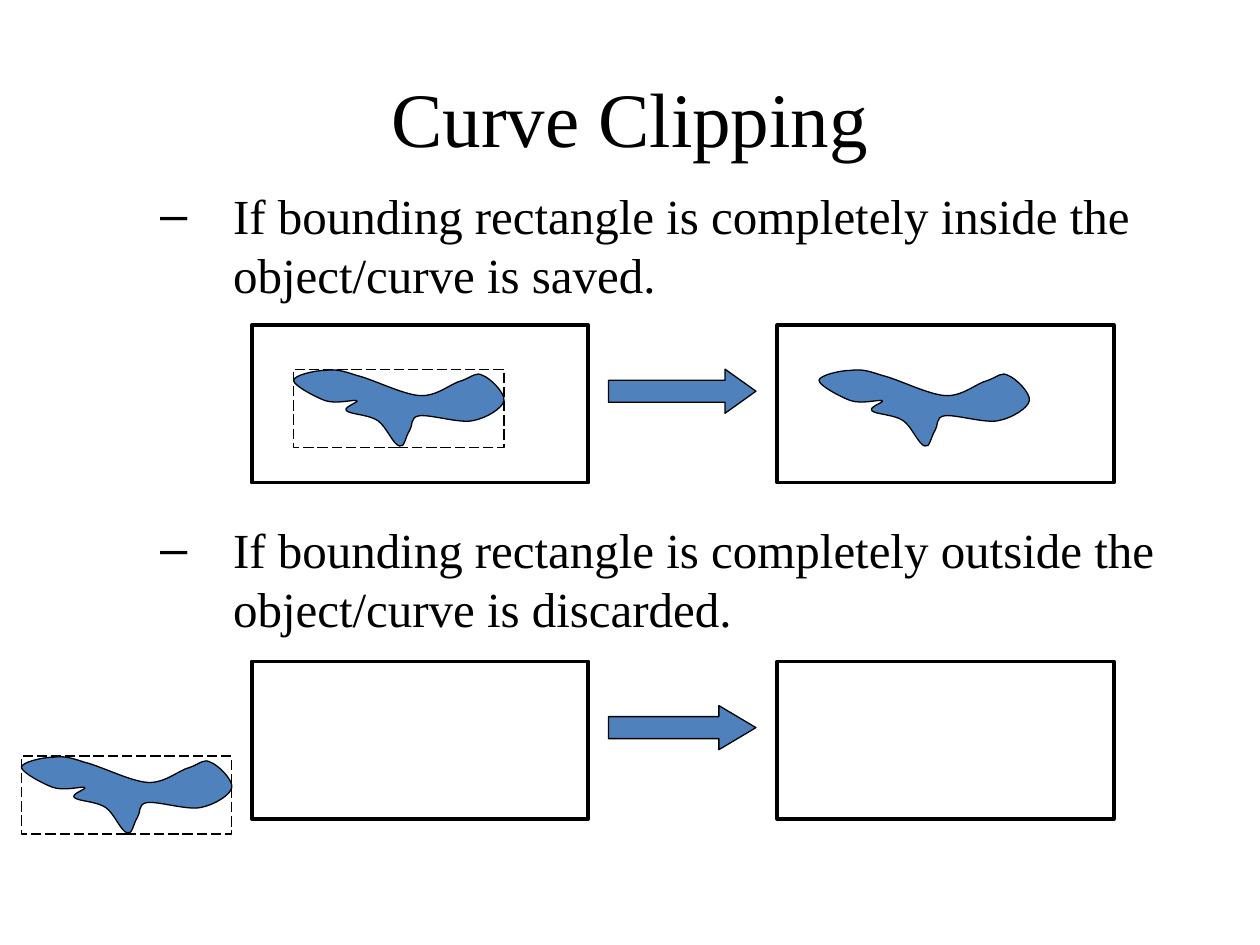
from dataclasses import dataclass

from pptx import Presentation
from pptx.dml.color import RGBColor
from pptx.enum.dml import MSO_LINE
from pptx.enum.shapes import MSO_SHAPE
from pptx.enum.text import MSO_ANCHOR, MSO_AUTO_SIZE, PP_ALIGN
from pptx.oxml.ns import qn
from pptx.util import Inches, Pt

RECTANGLE, RIGHT_ARROW = MSO_SHAPE.RECTANGLE, MSO_SHAPE.RIGHT_ARROW
LONG_DASH = MSO_LINE.LONG_DASH
MIDDLE, TOP = MSO_ANCHOR.MIDDLE, MSO_ANCHOR.TOP
CENTER, LEFT = PP_ALIGN.CENTER, PP_ALIGN.LEFT
NO_AUTOFIT = MSO_AUTO_SIZE.NONE

# Curve outline in hundredths of an inch: a start point, then Bezier segments
# of two control points and an end point.
CURVE_START = (50, 5)
CURVE_SEGMENTS = [
    [(63, 8), (86, 20), (100, 21)],
    [(114, 22), (125, 11), (134, 9)],
    [(142, 6), (145, 2), (150, 5)],
    [(156, 7), (168, 19), (167, 25)],
    [(166, 31), (153, 39), (142, 41)],
    [(131, 43), (109, 36), (100, 37)],
    [(92, 38), (95, 45), (92, 49)],
    [(89, 53), (88, 63), (84, 61)],
    [(79, 60), (74, 46), (67, 41)],
    [(60, 36), (45, 36), (42, 33)],
    [(39, 30), (53, 26), (50, 25)],
    [(48, 24), (34, 28), (25, 25)],
    [(17, 22), (0, 13), (0, 9)],
    [(0, 5), (17, 1), (25, 1)],
    [(34, 0), (38, 1), (50, 5)],
]

RULES = [
    "If bounding rectangle is completely inside the object/curve is saved.",
    "If bounding rectangle is completely outside the object/curve is discarded.",
]
BEFORE_X, ARROW_X, AFTER_X = 2, 4.83, 6.17
SAVED_Y, DISCARDED_Y = 2.58, 5.25
INSET_X, INSET_Y = 0.33, 0.35


@dataclass
class Theme:
    font: str = "Times New Roman"
    ink: RGBColor = RGBColor(0, 0, 0)
    accent: RGBColor = RGBColor(0x4F, 0x81, 0xBD)
    title_size: Pt = Pt(44)
    body_size: Pt = Pt(28)
    line_pitch: Pt = Pt(33.7)
    rule_gap: Pt = Pt(123.5)
    thin: Pt = Pt(0.75)
    thick: Pt = Pt(2.25)


class SlideBuilder:
    def __init__(self, slide, theme):
        self.slide, self.theme = slide, theme

    def place(self, item, x, y, width, height):
        box = {"left": x, "top": y, "width": width, "height": height}
        for name, value in box.items():
            setattr(item, name, Inches(value))

    def style_text(self, paragraph, size, **formats):
        for name, value in formats.items():
            setattr(paragraph, name, value)
        font = {"name": self.theme.font, "size": size}
        for name, value in font.items():
            setattr(paragraph.font, name, value)
        paragraph.font.color.rgb = self.theme.ink

    def title(self, text, *box):
        heading = self.slide.shapes.title
        self.place(heading, *box)
        frame = heading.text_frame
        frame.text = text
        frame.auto_size, frame.vertical_anchor = NO_AUTOFIT, MIDDLE
        self.style_text(frame.paragraphs[0], self.theme.title_size, alignment=CENTER)

    def rules(self, texts, *box):
        body = self.slide.placeholders[1]
        self.place(body, *box)
        frame = body.text_frame
        frame.text = "\n".join(texts)
        frame.auto_size, frame.vertical_anchor = NO_AUTOFIT, TOP
        for index, paragraph in enumerate(frame.paragraphs):
            properties = paragraph._p.get_or_add_pPr()
            properties.set("marL", str(Inches(1.08)))
            properties.set("indent", str(Inches(-0.58)))
            self.style_text(
                paragraph, self.theme.body_size, level=1, alignment=LEFT,
                line_spacing=self.theme.line_pitch,
                space_before=self.theme.rule_gap if index else Pt(0),
            )

    def paint(self, shape, width, filled=False, dash=None):
        shape.shadow.inherit = False
        if filled:
            shape.fill.solid()
            shape.fill.fore_color.rgb = self.theme.accent
        else:
            shape.fill.background()
        shape.line.color.rgb = self.theme.ink
        shape.line.width = width
        if dash is not None:
            shape.line.dash_style = dash

    def preset(self, kind, x, y, width, height):
        box = [Inches(length) for length in (x, y, width, height)]
        return self.slide.shapes.add_shape(kind, *box)

    def clip_window(self, x, y):
        self.paint(self.preset(RECTANGLE, x, y, 2.67, 1.25), self.theme.thick)

    def bounding_box(self, x, y):
        box = self.preset(RECTANGLE, x, y, 1.67, 0.62)
        self.paint(box, self.theme.thin, dash=LONG_DASH)

    def arrow(self, x, y, head):
        arrow = self.preset(RIGHT_ARROW, x, y, 1.17, 0.35)
        arrow.adjustments[0], arrow.adjustments[1] = 0.5, head
        self.paint(arrow, self.theme.thin, filled=True)

    def curve(self, x, y):
        """Build the outline as straight lines, then join each three into a Bezier."""
        builder = self.slide.shapes.build_freeform(*CURVE_START, scale=Inches(0.01))
        points = [point for segment in CURVE_SEGMENTS for point in segment]
        builder.add_line_segments(points, close=True)
        outline = builder.convert_to_shape(Inches(x), Inches(y))
        lines = list(outline.element.iter(qn("a:lnTo")))
        for first in range(0, len(lines), 3):
            bezier = lines[first].makeelement(qn("a:cubicBezTo"), {})
            lines[first].addprevious(bezier)
            for line in lines[first:first + 3]:
                bezier.append(line[0])
                line.getparent().remove(line)
        self.paint(outline, self.theme.thin, filled=True)


def main():
    presentation = Presentation()
    presentation.slide_width, presentation.slide_height = Inches(10), Inches(7.5)
    slide = presentation.slides.add_slide(presentation.slide_layouts[1])
    page = SlideBuilder(slide, Theme())

    page.title("Curve Clipping", 0.5, 0.3, 9, 1.25)
    page.rules(RULES, 0.67, 1.42, 9.33, 4.95)

    for row_y, arrow_head in ((SAVED_Y, 0.7), (DISCARDED_Y, 0.84)):
        page.clip_window(BEFORE_X, row_y)
        page.arrow(ARROW_X, row_y + INSET_Y, arrow_head)
        page.clip_window(AFTER_X, row_y)

    inside = (BEFORE_X + INSET_X, SAVED_Y + INSET_Y)
    outside = (0.17, 6)
    for position in (inside, outside):
        page.curve(*position)
        page.bounding_box(*position)
    page.curve(AFTER_X + INSET_X, SAVED_Y + INSET_Y)

    presentation.save("out.pptx")


if __name__ == "__main__":
    main()
